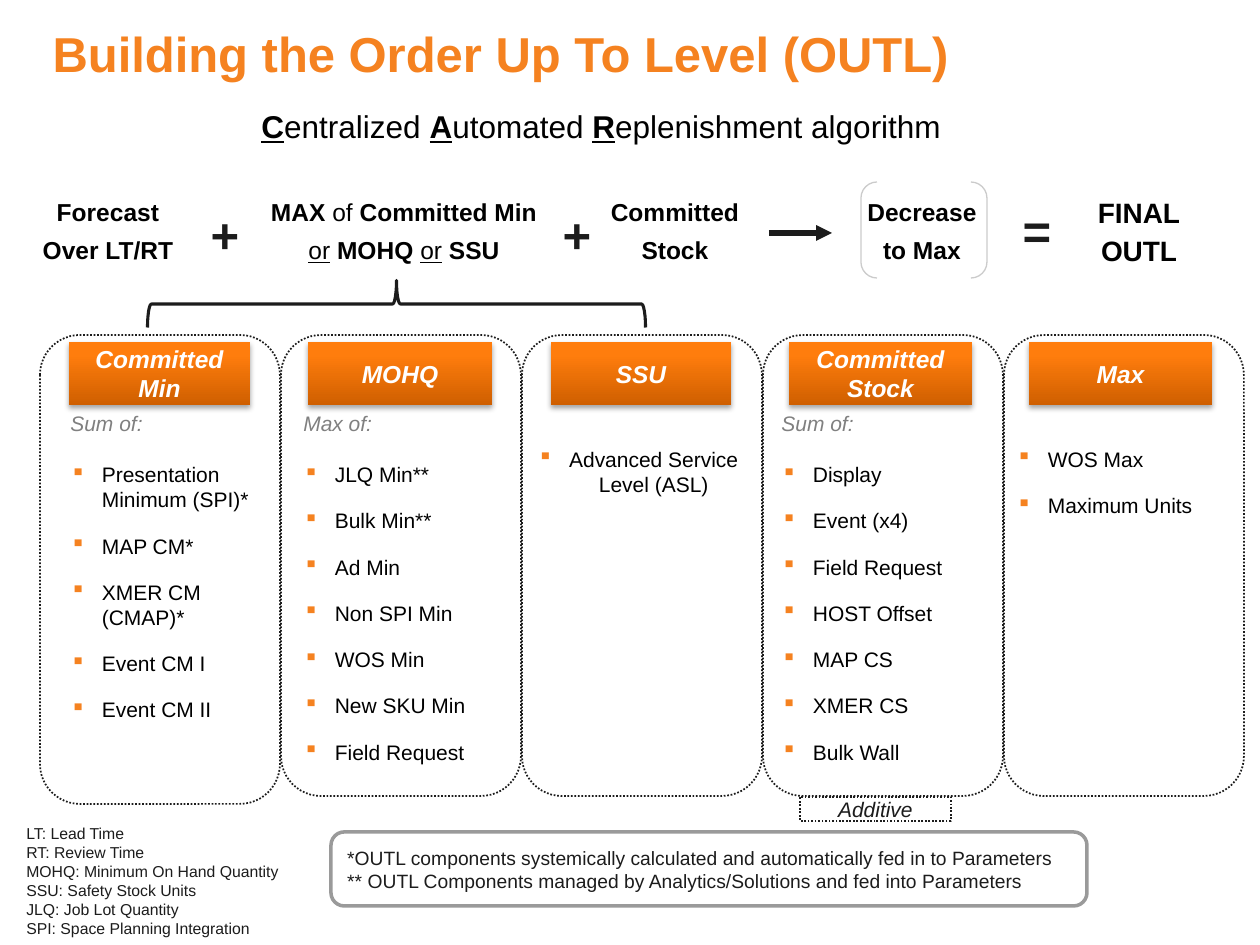
from dataclasses import dataclass

from lxml import etree
from pptx import Presentation
from pptx.dml.color import RGBColor
from pptx.enum.dml import MSO_LINE
from pptx.enum.shapes import MSO_CONNECTOR, MSO_SHAPE
from pptx.enum.text import MSO_ANCHOR, PP_ALIGN
from pptx.oxml.ns import qn
from pptx.util import Emu, Pt

LEFT, CENTER = PP_ALIGN.LEFT, PP_ALIGN.CENTER
TOP, MIDDLE = MSO_ANCHOR.TOP, MSO_ANCHOR.MIDDLE
RECT, ROUND_RECT = MSO_SHAPE.RECTANGLE, MSO_SHAPE.ROUNDED_RECTANGLE
LEFT_BRACE, BRACKETS = MSO_SHAPE.LEFT_BRACE, MSO_SHAPE.DOUBLE_BRACKET
DOTTED = MSO_LINE.ROUND_DOT
STRAIGHT = MSO_CONNECTOR.STRAIGHT


@dataclass(frozen=True)
class Theme:
    font: str = "Arial"
    orange: str = "F58220"
    dark_orange: str = "CF5F00"
    bright_orange: str = "FF7D0D"
    black: str = "000000"
    ink: str = "1C1C1C"
    gray: str = "808080"
    note_line: str = "9A9A9A"
    bracket: str = "CBCBCB"
    white: str = "FFFFFF"
    title: int = 28
    subtitle: int = 18
    result: int = 16
    heading: int = 14
    body: int = 12
    note: int = 11
    legend: int = 9


T = Theme()
BOLD, UNDERLINE = {"bold": True}, {"underline": True}
INSET = 12.6
FORMULA_PITCH = 21  # points from line to line

# heading, heading left and width, list left and width, list intro, items
COLUMNS = [
    ("Committed\nMin", 69, 181, 58, 204, "Sum of:",
     ["Presentation Minimum (SPI)*", "MAP CM*", "XMER CM (CMAP)*",
      "Event CM I", "Event CM II"]),
    ("MOHQ", 308, 184, 291, 200, "Max of:",
     ["JLQ Min**", "Bulk Min**", "Ad Min", "Non SPI Min", "WOS Min",
      "New SKU Min", "Field Request"]),
    ("SSU", 551, 180, 522, 232, None, ["Advanced Service Level (ASL)"]),
    ("Committed\nStock", 789, 183, 769, 232, "Sum of:",
     ["Display", "Event (x4)", "Field Request", "HOST Offset", "MAP CS",
      "XMER CS", "Bulk Wall"]),
    ("Max", 1029, 183, 1004, 241, None, ["WOS Max", "Maximum Units"]),
]
# centre, width, type size, lines of runs
FORMULA = [
    (108, 160, T.heading, [[("Forecast", BOLD)], [("Over LT/RT", BOLD)]]),
    (404, 300, T.heading,
     [[("MAX ", BOLD), ("of ", {}), ("Committed Min", BOLD)],
      [("or", UNDERLINE), (" MOHQ ", BOLD), ("or", UNDERLINE), (" SSU", BOLD)]]),
    (675, 150, T.heading, [[("Committed", BOLD)], [("Stock", BOLD)]]),
    (922, 126, T.heading, [[("Decrease", BOLD)], [("to Max", BOLD)]]),
    (1139, 130, T.result, [[("FINAL", BOLD)], [("OUTL", BOLD)]]),
]
OPERATORS = [("+", 225, 234), ("+", 577, 234), ("=", 1037, 230)]
LEGEND = ["LT: Lead Time", "RT: Review Time", "MOHQ: Minimum On Hand Quantity",
          "SSU: Safety Stock Units", "JLQ: Job Lot Quantity",
          "SPI: Space Planning Integration"]
NOTES = ["*OUTL components systemically calculated and automatically fed in to Parameters",
         "** OUTL Components managed by Analytics/Solutions and fed into Parameters"]


def px(n):
    return Emu(round(n * 914400 / 126))


def rgb(color):
    return RGBColor.from_string(color)


def add_run(p, text, size, color, **fmt):
    r = p.add_run()
    r.text = text
    r.font.color.rgb = rgb(color)
    for name, value in {"name": T.font, "size": Pt(size), **fmt}.items():
        setattr(r.font, name, value)


def next_paragraph(tf):
    """Return the first paragraph while it is empty, else a new one."""
    p = tf.paragraphs[0]
    return tf.add_paragraph() if p.runs else p


def add_lines(tf, lines, size, color, align=LEFT, **fmt):
    for line in lines:
        p = next_paragraph(tf)
        p.alignment = align
        add_run(p, line, size, color, **fmt)


def set_frame(tf, anchor=TOP, inset=INSET, wrap=True):
    fmt = {"word_wrap": wrap, "vertical_anchor": anchor,
           "margin_left": px(inset), "margin_right": px(inset)}
    for name, value in fmt.items():
        setattr(tf, name, value)


def add_text_box(slide, box, **frame):
    tf = slide.shapes.add_textbox(*map(px, box)).text_frame
    set_frame(tf, **frame)
    return tf


def add_box(slide, kind, box, line=None, width=1, dash=None, fill=None):
    sp = slide.shapes.add_shape(kind, *map(px, box))
    if fill:
        sp.fill.solid()
        sp.fill.fore_color.rgb = rgb(fill)
    else:
        sp.fill.background()
    if line:
        sp.line.color.rgb = rgb(line)
        sp.line.width = Pt(width)
        sp.line.dash_style = dash
    else:
        sp.line.fill.background()
    sp.shadow.inherit = False
    return sp


def add_drop_shadow(sp):
    effects = sp._element.spPr.find(qn("a:effectLst"))
    shadow = etree.SubElement(effects, qn("a:outerShdw"), blurRad=str(Pt(3.1)),
                              dist=str(Pt(1.8)), dir="5400000", rotWithShape="0")
    color = etree.SubElement(shadow, qn("a:srgbClr"), val=T.black)
    etree.SubElement(color, qn("a:alpha"), val="35000")


def add_heading(slide, text, left, width):
    sp = add_box(slide, RECT, (left, 342, width, 63))
    sp.fill.gradient()
    sp.fill.gradient_angle = 90
    for stop, color, position in zip(sp.fill.gradient_stops,
                                     (T.dark_orange, T.bright_orange), (0, 0.8)):
        stop.color.rgb = rgb(color)
        stop.position = position
    add_drop_shadow(sp)
    set_frame(sp.text_frame, MIDDLE)
    add_lines(sp.text_frame, text.split("\n"), T.heading, T.white, CENTER,
              bold=True, italic=True)


def add_bullet(tf, text, align):
    p = next_paragraph(tf)
    p.alignment = align
    p.space_before = p.space_after = Pt(6)
    ppr = p._p.get_or_add_pPr()
    ppr.set("marL", str(px(31.5)))
    ppr.set("indent", str(-px(31.5)))
    color = etree.SubElement(ppr, qn("a:buClr"))
    etree.SubElement(color, qn("a:srgbClr"), val=T.orange)
    etree.SubElement(ppr, qn("a:buChar"), char="▪")
    add_run(p, text, T.body, T.black)


def add_column(slide, index, heading, left, width, list_left, list_width, intro, items):
    height = 461 if index else 469
    add_box(slide, ROUND_RECT, (40 + 241 * index, 335, 240, height), T.ink, 1, DOTTED)
    top = 404 if intro else 440
    tf = add_text_box(slide, (list_left, top, list_width, 796 - top))
    if intro:
        add_lines(tf, [intro], T.body, T.gray, italic=True)
        tf.paragraphs[0].space_after = Pt(9)
    for item in items:
        add_bullet(tf, item, CENTER if len(items) == 1 else LEFT)
    add_heading(slide, heading, left, width)


def add_formula_term(slide, center, width, size, lines):
    tf = add_text_box(slide, (center - width / 2, 181, width, 100),
                      anchor=MIDDLE, inset=0)
    for i, runs in enumerate(lines):
        p = next_paragraph(tf)
        p.alignment = CENTER
        if i:
            p.space_before = Pt(round(FORMULA_PITCH - 1.15 * size, 1))
        for text, fmt in runs:
            add_run(p, text, size, T.black, **fmt)


def add_arrow(slide, x1, x2, y):
    line = slide.shapes.add_connector(STRAIGHT, px(x1), px(y), px(x2), px(y))
    line.line.color.rgb = rgb(T.ink)
    line.line.width = Pt(3)
    etree.SubElement(line.line._get_or_add_ln(), qn("a:tailEnd"), type="triangle")
    etree.SubElement(line._element.spPr, qn("a:effectLst"))


def add_title(slide, text):
    title = slide.shapes.title
    title.left, title.top, title.width, title.height = map(px, (40, 0, 1134, 105))
    set_frame(title.text_frame, MIDDLE)
    add_lines(title.text_frame, [text], T.title, T.orange, bold=True)


def add_subtitle(slide):
    p = add_text_box(slide, (249, 101, 823, 50)).paragraphs[0]
    for word in ("Centralized ", "Automated ", "Replenishment algorithm"):
        add_run(p, word[0], T.subtitle, T.black, bold=True, underline=True)
        add_run(p, word[1:], T.subtitle, T.black)


def main():
    prs = Presentation()
    prs.slide_width, prs.slide_height = px(1260), px(945)
    slide = prs.slides.add_slide(prs.slide_layouts[5])
    add_title(slide, "Building the Order Up To Level (OUTL)")
    add_subtitle(slide)
    for term in FORMULA:
        add_formula_term(slide, *term)
    for i, column in enumerate(COLUMNS):
        add_column(slide, i, *column)
    brace = add_box(slide, LEFT_BRACE, (373, 55, 47, 498), T.ink, 1.75)
    brace.rotation = 90
    add_arrow(slide, 769, 832, 233)
    for sign, x, y in OPERATORS:
        tf = add_text_box(slide, (x - 27, y - 36, 54, 72), anchor=MIDDLE, inset=0)
        add_lines(tf, [sign], T.title, T.ink, CENTER, bold=True)
    add_lines(add_text_box(slide, (14, 818, 280, 127), wrap=False),
              LEGEND, T.legend, T.ink)
    notes = add_box(slide, ROUND_RECT, (331, 832, 756, 74), T.note_line, 2, fill=T.white)
    notes.adjustments[0] = 0.18
    set_frame(notes.text_frame, MIDDLE)
    add_lines(notes.text_frame, NOTES, T.note, T.ink)
    additive = add_box(slide, RECT, (800, 797, 151, 24), T.ink, 1, DOTTED, T.white)
    set_frame(additive.text_frame, MIDDLE)
    add_lines(additive.text_frame, ["Additive"], T.body, T.ink, CENTER, italic=True)
    add_box(slide, BRACKETS, (861, 182, 126, 96), T.bracket, 0.75)
    prs.save("out.pptx")


if __name__ == "__main__":
    main()
